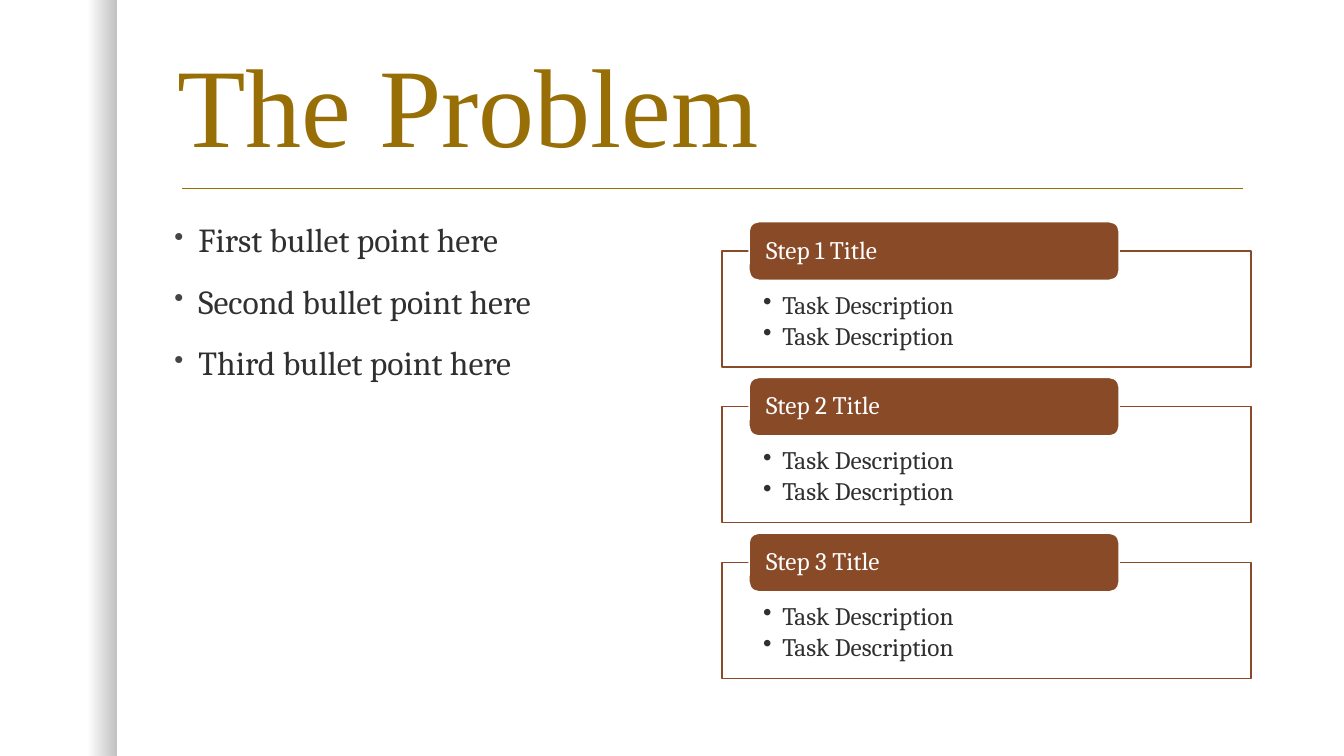
from dataclasses import dataclass

from lxml import etree
from pptx import Presentation
from pptx.dml.color import RGBColor
from pptx.enum import shapes, text
from pptx.oxml import ns
from pptx.util import Inches, Pt

GOLD = RGBColor(0x98, 0x6F, 0x07)
BROWN = RGBColor(0x89, 0x4A, 0x27)
INK = RGBColor(0x30, 0x30, 0x30)
BULLET_GREY = RGBColor(0x45, 0x45, 0x45)
WHITE = RGBColor(0xFF, 0xFF, 0xFF)
BLACK = RGBColor(0, 0, 0)

FIRST_STEP_TOP = 2.2
STEP_PITCH = 3.09 / 2


@dataclass(frozen=True)
class Step:
    title: str
    tasks: tuple[str, ...]


@dataclass(frozen=True)
class Bullet:
    indent: float
    color: RGBColor = INK
    percent: int = 100


STEPS = [Step(f"Step {number} Title", ("Task Description",) * 2) for number in (1, 2, 3)]
POINTS = ("First bullet point here", "Second bullet point here", "Third bullet point here")


def set_alpha(color_element, percent: int) -> None:
    etree.SubElement(color_element, ns.qn("a:alpha"), val=str(percent * 1000))


def add_bullet(para, bullet: Bullet) -> None:
    properties = para._p.get_or_add_pPr()
    properties.set("marL", str(Inches(bullet.indent)))
    properties.set("indent", str(-Inches(bullet.indent)))
    color = etree.SubElement(properties, ns.qn("a:buClr"))
    etree.SubElement(color, ns.qn("a:srgbClr"), val=str(bullet.color))
    etree.SubElement(properties, ns.qn("a:buSzPct"), val=str(bullet.percent * 1000))
    etree.SubElement(properties, ns.qn("a:buChar"), char="•")


def write(box, lines, *, size: float, color: RGBColor = INK, font: str = "Cambria",
          anchor=text.MSO_ANCHOR.TOP, insets=(0.1, 0.05, 0.1, 0.05),
          gap: float = 0, bullet: Bullet | None = None) -> None:
    """Fill a box with one paragraph per line; insets run left, top, right, bottom."""
    frame = box.text_frame
    frame.word_wrap = True
    frame.vertical_anchor = anchor
    (frame.margin_left, frame.margin_top,
     frame.margin_right, frame.margin_bottom) = map(Inches, insets)
    for index, line in enumerate(lines):
        para = frame.add_paragraph() if index else frame.paragraphs[0]
        if bullet:
            add_bullet(para, bullet)
        para.alignment = text.PP_ALIGN.LEFT
        para.line_spacing = 0.9
        if index:
            para.space_before = Pt(gap)
        span = para.add_run()
        span.text = line
        span.font.size = Pt(size)
        span.font.name = font
        span.font.color.rgb = color


def add_box(page, kind, left: float, top: float, width: float, height: float,
            fill: RGBColor, line: RGBColor):
    box = page.shapes.add_shape(kind, *map(Inches, (left, top, width, height)))
    box.shadow.inherit = False
    box.fill.solid()
    box.fill.fore_color.rgb = fill
    box.line.color.rgb = line
    box.line.width = Pt(1)
    return box


def add_edge_shade(page) -> None:
    shade = page.shapes.add_shape(shapes.MSO_SHAPE.RECTANGLE, 0, 0, Inches(1.16), Inches(7.5))
    shade.shadow.inherit = False
    shade.line.fill.background()
    shade.fill.gradient()
    shade.fill.gradient_angle = 0
    for stop, position in zip(shade.fill.gradient_stops, (0.75, 1)):
        stop.position = position
        stop.color.rgb = BLACK
    for color, alpha in zip(shade._element.spPr.iter(ns.qn("a:srgbClr")), (0, 25)):
        set_alpha(color, alpha)


def add_title_rule(page) -> None:
    rule = page.shapes.add_connector(shapes.MSO_CONNECTOR.STRAIGHT,
                                     *map(Inches, (1.81, 1.87, 12.33, 1.87)))
    rule.line.color.rgb = GOLD
    rule.line.width = Pt(1)
    etree.SubElement(rule._element.spPr, ns.qn("a:effectLst"))


def add_step(page, step: Step, top: float) -> None:
    panel = add_box(page, shapes.MSO_SHAPE.RECTANGLE, 7.16, top + 0.29, 5.25, 1.15,
                    WHITE, BROWN)
    set_alpha(next(panel._element.spPr.iter(ns.qn("a:srgbClr"))), 90)
    write(panel, step.tasks, size=18, insets=(0.41, 0.41, 0.41, 0.14), gap=2.7,
          bullet=Bullet(0.19))
    header = add_box(page, shapes.MSO_SHAPE.ROUNDED_RECTANGLE, 7.43, top, 3.67, 0.58,
                     BROWN, WHITE)
    write(header, [step.title], size=18, color=WHITE, anchor=text.MSO_ANCHOR.MIDDLE,
          insets=(0.14, 0, 0.14, 0))


def main() -> None:
    deck = Presentation()
    deck.slide_width, deck.slide_height = Inches(13.33), Inches(7.5)
    page = deck.slides.add_slide(deck.slide_layouts[6])

    add_edge_shade(page)
    add_title_rule(page)
    title = page.shapes.add_textbox(*map(Inches, (1.66, 0.42, 10.75, 1.33)))
    write(title, ["The Problem"], size=80, color=GOLD, font="Times New Roman",
          anchor=text.MSO_ANCHOR.BOTTOM)
    points = page.shapes.add_textbox(*map(Inches, (1.63, 2.17, 5.25, 4.58)))
    write(points, POINTS, size=24, gap=18, bullet=Bullet(0.24, BULLET_GREY, 80))
    for index, step in enumerate(STEPS):
        add_step(page, step, FIRST_STEP_TOP + index * STEP_PITCH)

    deck.save("out.pptx")


if __name__ == "__main__":
    main()
